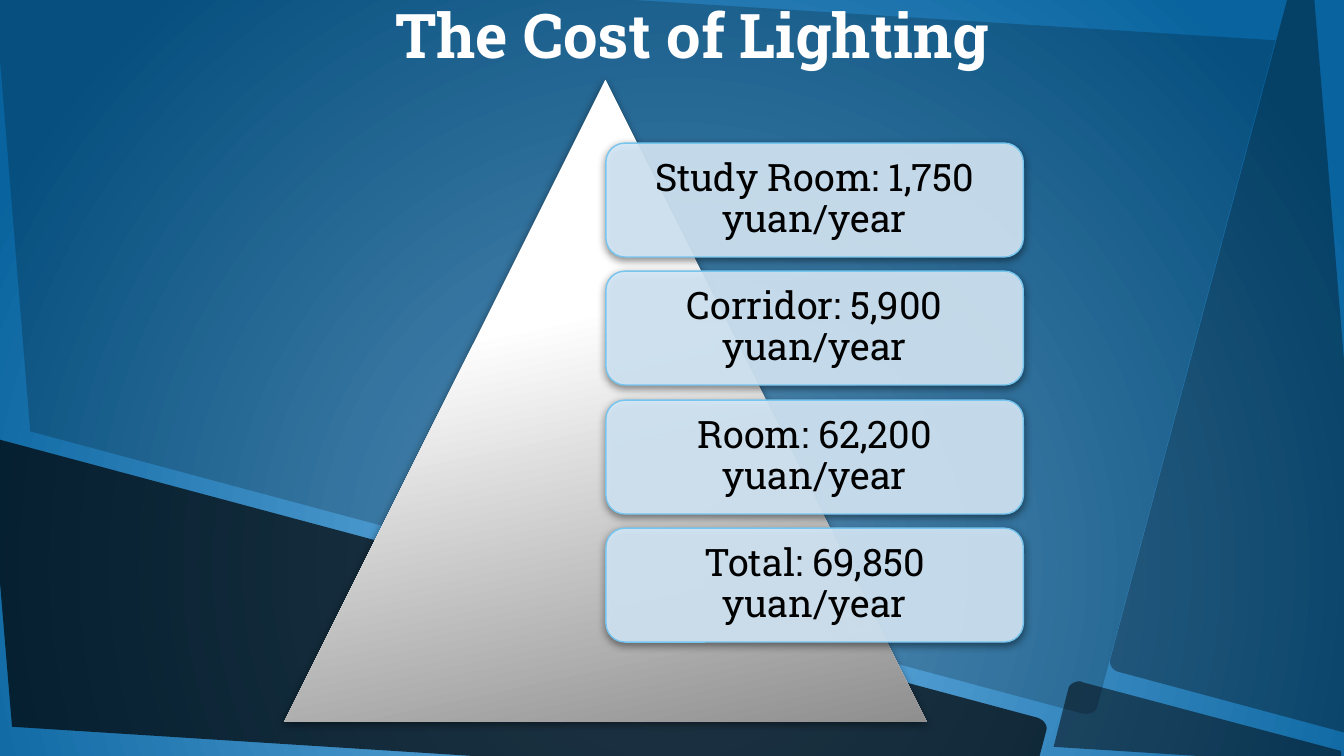
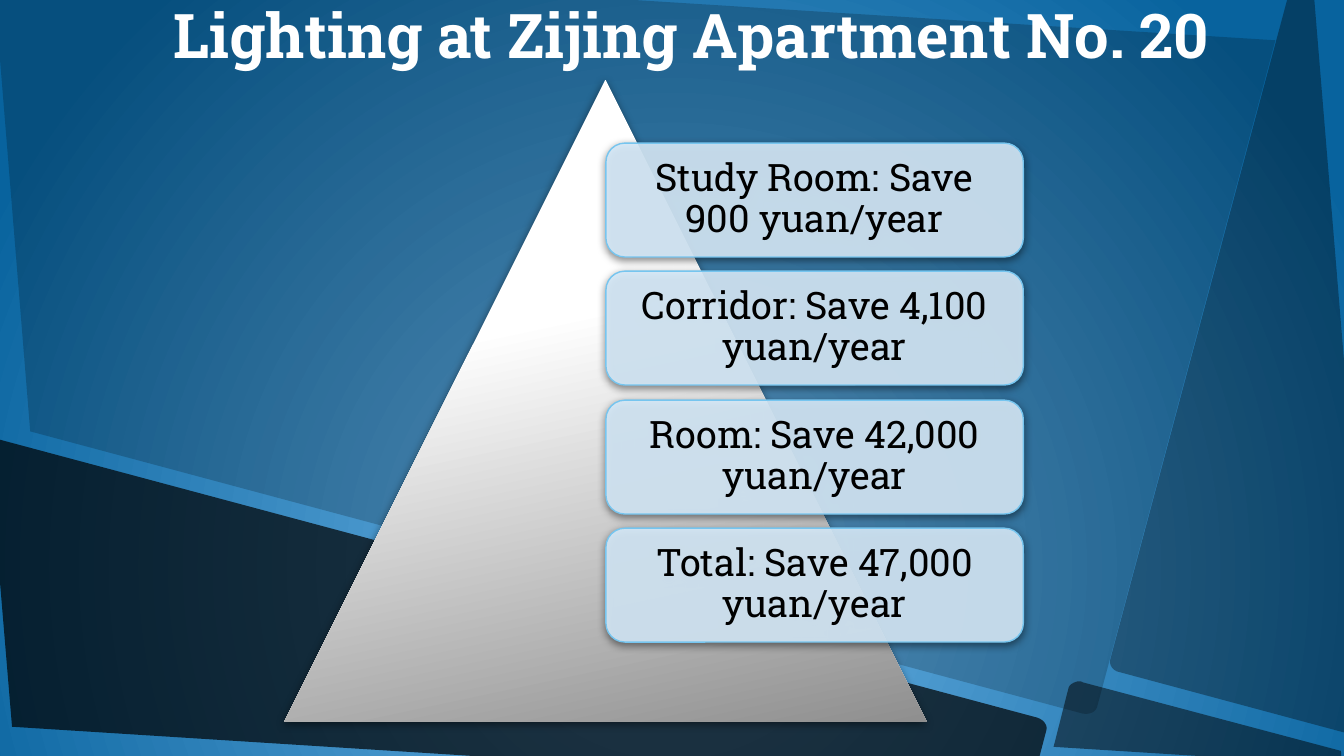
"""Build two slides on lighting cost and savings, each a pyramid with four cards."""
from dataclasses import dataclass

from lxml.etree import SubElement
from pptx import Presentation
from pptx.dml.color import RGBColor
from pptx.enum.shapes import MSO_SHAPE
from pptx.enum.text import MSO_ANCHOR, MSO_AUTO_SIZE, PP_ALIGN
from pptx.oxml.ns import qn
from pptx.util import Pt

SLIDES = [
    ("The Cost of Lighting", [
        "Study Room: 1,750 yuan/year",
        "Corridor: 5,900 yuan/year",
        "Room: 62,200 yuan/year",
        "Total: 69,850 yuan/year",
    ]),
    ("Lighting at Zijing Apartment No. 20", [
        "Study Room: Save 900 yuan/year",
        "Corridor: Save 4,100 yuan/year",
        "Room: Save 42,000 yuan/year",
        "Total: Save 47,000 yuan/year",
    ]),
]

# Each panel: opacity, then points; six numbers make a Bezier curve.
PANELS = [
    (20, [(-8, -40), (1265, 40), (1088, 702),
          (1086, 707, 1080, 709, 1074, 708), (30, 428)]),
    (70, [(-12, 433), (1029, 712), (1035, 714, 1039, 719, 1038, 724),
          (1022, 785), (12, 721)]),
    (50, [(1069, 676), (1071, 676, 1073, 676, 1074, 677), (1330, 745),
          (1331, 759), (1045, 741), (1060, 682),
          (1061, 679, 1065, 677, 1069, 676)]),
    (35, [(1279, -9), (1303, -7), (1364, 735), (1111, 667),
          (1104, 666, 1100, 660, 1101, 655)]),
]

PX = 9144
SLIDE_SIZE = (1333, 750)
TITLE_BOX = (76, -8, 1221, 84)
TITLE_INSET = 5
PYRAMID_BOX = (282, 79, 637, 637)
CARD_LEFT, CARD_WIDTH, CARD_HEIGHT = 601, 414, 113
FIRST_CARD_TOP, LAST_CARD_TOP = 142, 524
CARD_INSET = 11
CURVE_STEPS = 6


@dataclass(frozen=True)
class Theme:
    """Colours, font and type sizes."""
    font: str = "Roboto Slab"
    title_size: int = 44
    card_size: int = 27
    title: str = "FFFFFF"
    text: str = "000000"
    panel: str = "000000"
    shadow: str = "000000"
    card: str = "D6EAF9"
    card_line: str = "76C5EF"
    card_opacity: int = 90
    background: tuple = ((0, "70B6E8"), (100, "08639E"))
    pyramid: tuple = ((38, "FFFFFF"), (100, "8F8F8F"))
    pyramid_angle: int = 78


THEME = Theme()


def px(*lengths):
    """Turn px lengths into EMU."""
    return [round(length * PX) for length in lengths]


def set_gradient(fill, stops):
    """Give a fill its two gradient stops."""
    fill.gradient()
    for stop, (position, color) in zip(fill.gradient_stops, stops):
        stop.position = position / 100
        stop.color.rgb = RGBColor.from_string(color)


def set_solid(shape, color, opacity):
    """Fill a shape with a translucent colour."""
    shape.fill.solid()
    shape.fill.fore_color.rgb = RGBColor.from_string(color)
    color_element = shape.element.spPr.find(qn("a:solidFill")).find(qn("a:srgbClr"))
    SubElement(color_element, qn("a:alpha"), val=str(opacity * 1000))


def add_shadow(shape):
    """Drop a soft shadow below a shape."""
    shape.shadow.inherit = False
    effects = shape.element.spPr.find(qn("a:effectLst"))
    outer = SubElement(effects, qn("a:outerShdw"), blurRad=str(Pt(6)), dist=str(Pt(2)),
                       dir="5400000", rotWithShape="0")
    color_element = SubElement(outer, qn("a:srgbClr"), val=THEME.shadow)
    SubElement(color_element, qn("a:alpha"), val="50000")


def write(frame, text, size, color, inset_x, inset_y, bold=False):
    """Put one centred paragraph in a text frame."""
    frame.word_wrap = True
    frame.auto_size = MSO_AUTO_SIZE.NONE
    frame.margin_left = frame.margin_right = px(inset_x)[0]
    frame.margin_top = frame.margin_bottom = px(inset_y)[0]
    frame.text = text
    paragraph = frame.paragraphs[0]
    paragraph.alignment = PP_ALIGN.CENTER
    paragraph.font.name = THEME.font
    paragraph.font.size = Pt(size)
    paragraph.font.bold = bold
    paragraph.font.color.rgb = RGBColor.from_string(color)
    return paragraph


def flatten(points):
    """Turn corner points and curves into a list of vertices."""
    vertices = []
    for point in points:
        if len(point) == 2:
            vertices.append(point)
            continue
        controls = [vertices[-1], point[:2], point[2:4], point[4:]]
        for step in range(1, CURVE_STEPS + 1):
            t = step / CURVE_STEPS
            weights = ((1 - t) ** 3, 3 * t * (1 - t) ** 2, 3 * t * t * (1 - t), t ** 3)
            vertices.append(tuple(
                sum(weight * control[axis] for weight, control in zip(weights, controls))
                for axis in (0, 1)))
    return vertices


def style_master(master):
    """Set the radial background that all slides share."""
    set_gradient(master.background.fill, THEME.background)
    gradient = master.element.find(".//" + qn("a:gradFill"))
    gradient.remove(gradient.find(qn("a:lin")))
    radial = SubElement(gradient, qn("a:path"))
    radial.set("path", "circle")
    SubElement(radial, qn("a:fillToRect"), l="50000", t="50000", r="50000", b="0")


def style_layout(layout, slide):
    """Place the title and draw the tilted panels, moved from a slide to the layout."""
    title = layout.placeholders[0]
    title.left, title.top, title.width, title.height = px(*TITLE_BOX)
    for opacity, points in PANELS:
        start, *others = [px(*vertex) for vertex in flatten(points)]
        builder = slide.shapes.build_freeform(*start)
        builder.add_line_segments(others, close=True)
        panel = builder.convert_to_shape()
        set_solid(panel, THEME.panel, opacity)
        panel.line.fill.background()
        panel.shadow.inherit = False
        layout.shapes.element.append(panel.element)


def add_pyramid(slide):
    """Draw the shaded pyramid."""
    pyramid = slide.shapes.add_shape(MSO_SHAPE.ISOSCELES_TRIANGLE, *px(*PYRAMID_BOX))
    set_gradient(pyramid.fill, THEME.pyramid)
    pyramid.fill.gradient_angle = 360 - THEME.pyramid_angle
    pyramid.line.fill.background()
    add_shadow(pyramid)


def add_card(slide, top, text):
    """Draw one rounded card with its text."""
    card = slide.shapes.add_shape(
        MSO_SHAPE.ROUNDED_RECTANGLE, *px(CARD_LEFT, top, CARD_WIDTH, CARD_HEIGHT))
    set_solid(card, THEME.card, THEME.card_opacity)
    card.line.color.rgb = RGBColor.from_string(THEME.card_line)
    card.line.width = Pt(1)
    add_shadow(card)
    card.text_frame.vertical_anchor = MSO_ANCHOR.MIDDLE
    paragraph = write(card.text_frame, text, THEME.card_size, THEME.text,
                      CARD_INSET, CARD_INSET)
    paragraph.line_spacing = 0.9


def fill_slide(slide, title, cards):
    """Write the title and draw the pyramid with its cards."""
    frame = slide.shapes.title.text_frame
    frame.vertical_anchor = MSO_ANCHOR.TOP
    write(frame, title, THEME.title_size, THEME.title, 0, TITLE_INSET, bold=True)
    add_pyramid(slide)
    pitch = (LAST_CARD_TOP - FIRST_CARD_TOP) / (len(cards) - 1)
    for index, text in enumerate(cards):
        add_card(slide, round(FIRST_CARD_TOP + index * pitch), text)


def main():
    """Build and save the presentation."""
    presentation = Presentation()
    presentation.slide_width, presentation.slide_height = px(*SLIDE_SIZE)
    layout = presentation.slide_layouts.get_by_name("Title Only")
    slides = [presentation.slides.add_slide(layout) for _ in SLIDES]
    style_master(presentation.slide_master)
    style_layout(layout, slides[0])
    for slide, (title, cards) in zip(slides, SLIDES):
        fill_slide(slide, title, cards)
    presentation.save("out.pptx")


if __name__ == "__main__":
    main()
